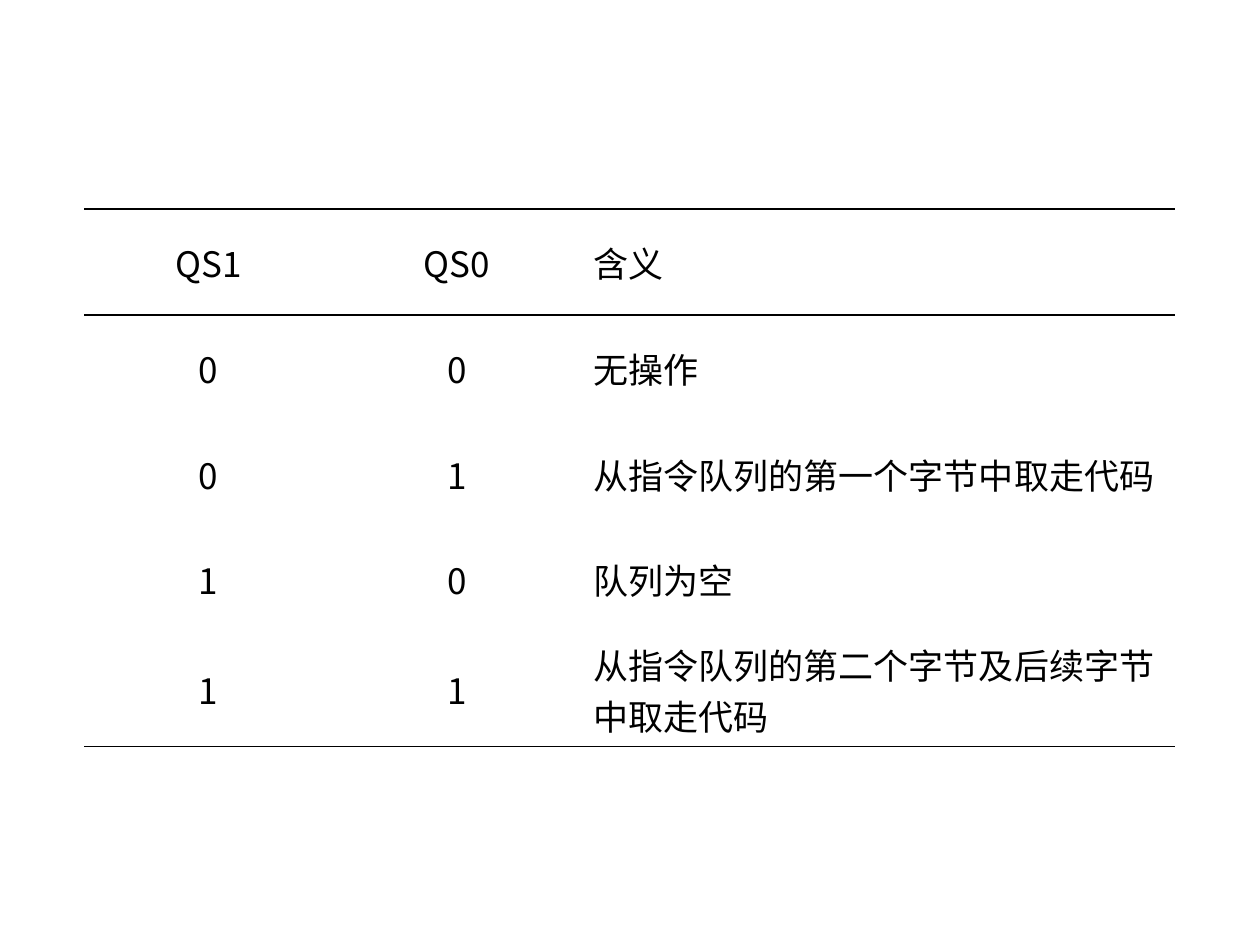
"""Build a slide with the table of queue status codes QS1 and QS0."""
import dataclasses

import lxml.etree
import pptx
import pptx.dml.color
import pptx.enum.text
import pptx.oxml.ns
import pptx.util
from pptx.util import Inches


@dataclasses.dataclass(frozen=True)
class Theme:
    font: str = "Noto Sans CJK SC"
    ink: str = "000000"
    text_size: int = 20
    rule_width: int = 1


theme = Theme()
qn = pptx.oxml.ns.qn


def add_border(cell, side, visible):
    line = lxml.etree.SubElement(cell._tc.get_or_add_tcPr(), qn(f"a:ln{side}"))
    if visible:
        line.set("w", str(pptx.util.Pt(theme.rule_width)))
        fill = lxml.etree.SubElement(line, qn("a:solidFill"))
        lxml.etree.SubElement(fill, qn("a:srgbClr"), val=theme.ink)
    else:
        line.set("w", "0")
        lxml.etree.SubElement(line, qn("a:noFill"))


status_rows = [
    ("QS1", "QS0", "含义"),
    ("0", "0", "无操作"),
    ("0", "1", "从指令队列的第一个字节中取走代码"),
    ("1", "0", "队列为空"),
    ("1", "1", "从指令队列的第二个字节及后续字节中取走代码"),
]
column_widths = [1.97, 1.97, 4.72]
row_height = 0.84
last_row = len(status_rows) - 1

presentation = pptx.Presentation()
presentation.slide_width = Inches(10)
presentation.slide_height = Inches(7.5)
slide = presentation.slides.add_slide(presentation.slide_layouts[6])

status_table = slide.shapes.add_table(
    len(status_rows), len(column_widths), Inches(0.67), Inches(1.66),
    Inches(sum(column_widths)), Inches(row_height * len(status_rows)),
).table
status_table.first_row = False
status_table.horz_banding = False
for column, width in zip(status_table.columns, column_widths):
    column.width = Inches(width)

for row_index, values in enumerate(status_rows):
    status_table.rows[row_index].height = Inches(row_height)
    for column_index, value in enumerate(values):
        cell = status_table.cell(row_index, column_index)
        add_border(cell, "L", False)
        add_border(cell, "R", False)
        add_border(cell, "T", row_index in (0, 1))
        add_border(cell, "B", row_index in (0, last_row))
        cell.fill.background()
        cell.vertical_anchor = pptx.enum.text.MSO_ANCHOR.MIDDLE
        cell.text = value
        paragraph = cell.text_frame.paragraphs[0]
        if column_index < 2:
            paragraph.alignment = pptx.enum.text.PP_ALIGN.CENTER
        paragraph.font.name = theme.font
        paragraph.font.size = pptx.util.Pt(theme.text_size)
        paragraph.font.color.rgb = pptx.dml.color.RGBColor.from_string(theme.ink)
        defaults = paragraph._p.pPr.find(qn("a:defRPr"))
        lxml.etree.SubElement(defaults, qn("a:ea"), typeface=theme.font)

presentation.save("out.pptx")
